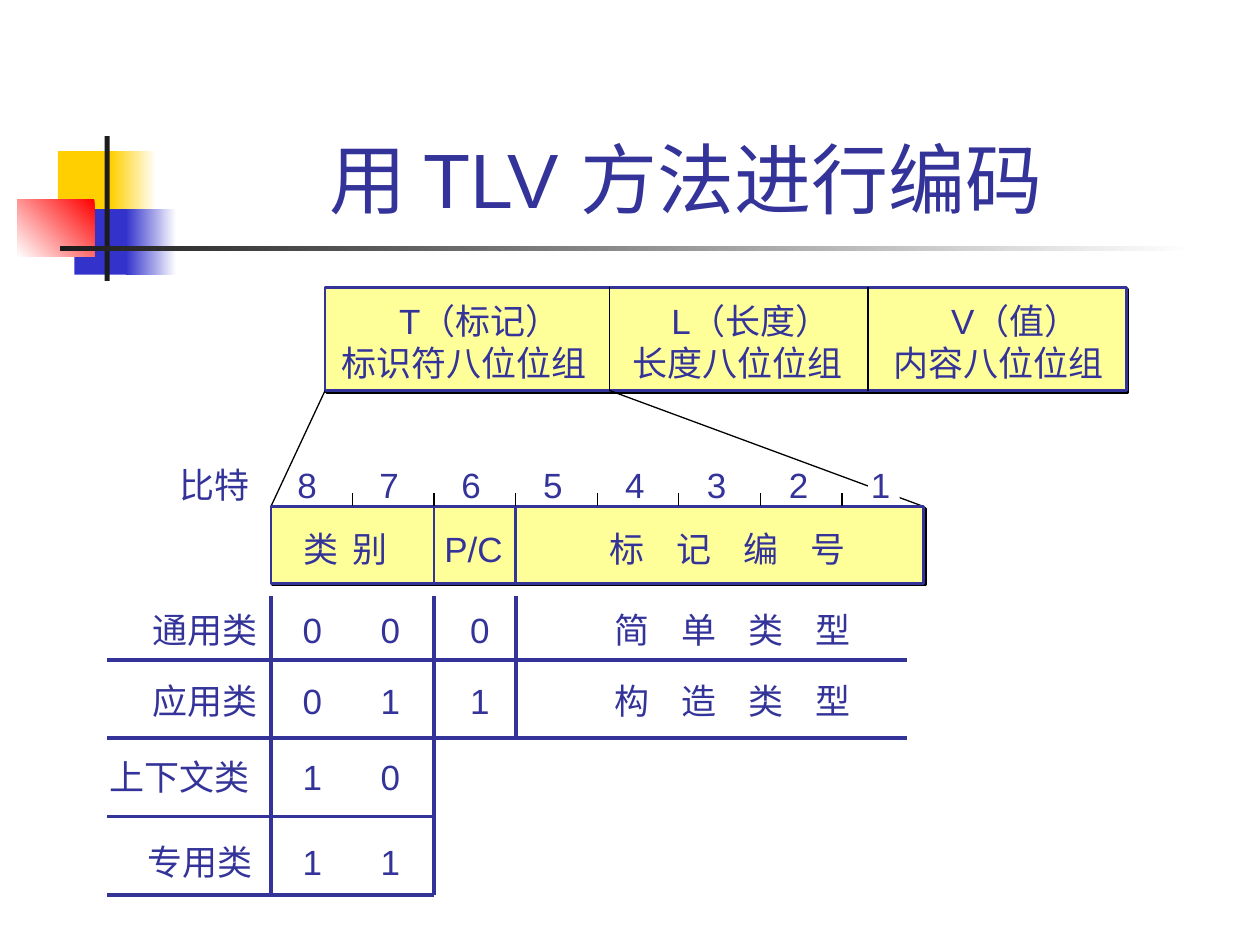
from dataclasses import dataclass

from lxml.etree import SubElement
from pptx import Presentation
from pptx.dml.color import RGBColor
from pptx.enum.shapes import MSO_CONNECTOR as Connector, MSO_SHAPE as Shape
from pptx.enum.text import MSO_ANCHOR as Anchor, MSO_AUTO_SIZE as AutoSize, PP_ALIGN as Align
from pptx.oxml.ns import qn
from pptx.util import Inches, Pt


@dataclass(frozen=True)
class Theme:
    font: str = "Arial"
    title_size: float = 44
    text_size: float = 20
    ink: str = "333399"
    cell: str = "FFFF99"
    black: str = "000000"
    white: str = "FFFFFF"
    yellow: str = "FFCF01"
    blue: str = "3333CC"
    red: str = "FF0000"
    dark: str = "1C1C1C"
    thin: float = 0.75
    medium: float = 1.5
    thick: float = 2.25


THEME = Theme()
INSET = 0.1
TEXT_HEIGHT = 0.44

# The TLV bar and its two inner dividers
BAR_LEFT, BAR_TOP, BAR_RIGHT, BAR_BOTTOM = 2.58, 2.28, 8.94, 3.1
LENGTH_X, VALUE_X = 4.84, 6.89

# The identifier octet: eight equal bit columns
OCTET_LEFT, OCTET_TOP, OCTET_WIDTH, OCTET_HEIGHT = 2.15, 4.02, 5.18, 0.61
BIT_WIDTH = OCTET_WIDTH / 8

# The class table below the octet
TABLE_LEFT, TABLE_TOP, TABLE_RIGHT = 0.85, 4.73, 7.2
FIRST_RULE, ROW_HEIGHT = 5.24, 0.62

BIT_STOPS = [2.44 + 0.65 * bit for bit in range(8)]
VALUE_STOPS = [2.48, 3.1, 3.81]
TYPE_STOPS = [5.02 + 0.53 * index for index in range(4)]


def bit_x(column):
    return OCTET_LEFT + BIT_WIDTH * column


def rule_y(row):
    return FIRST_RULE + ROW_HEIGHT * row


def color(code):
    return RGBColor.from_string(code)


def add_text(paragraph, text, size=THEME.text_size):
    run = paragraph.add_run()
    run.text = text
    run.font.name = THEME.font
    run.font.size = Pt(size)
    run.font.color.rgb = color(THEME.ink)


def add_text_box(slide, left, top, width, height):
    box = slide.shapes.add_textbox(*map(Inches, (left, top, width, height)))
    box.text_frame.word_wrap = True
    box.text_frame.margin_right = 0
    return box.text_frame


def add_row(slide, left, top, right, cells, stops):
    """Write one line whose cells after the first are centred on the stops."""
    frame = add_text_box(slide, left, top, right - left, TEXT_HEIGHT)
    paragraph = frame.paragraphs[0]
    tabs = SubElement(paragraph._p.get_or_add_pPr(), qn("a:tabLst"))
    for stop in stops:
        position = Inches(stop - left - INSET)
        SubElement(tabs, qn("a:tab"), pos=str(position), algn="ctr")
    add_text(paragraph, "\t".join(cells))


def add_field(slide, left, width, heading, detail, indent):
    frame = add_text_box(slide, left, 2.33, width, 0.77)
    add_text(frame.paragraphs[0], heading)
    frame.paragraphs[0]._p.get_or_add_pPr().set("marL", str(Inches(indent)))
    add_text(frame.add_paragraph(), detail)


def add_line(slide, start, end, line_color=THEME.ink, width=THEME.thick):
    points = map(Inches, (*start, *end))
    line = slide.shapes.add_connector(Connector.STRAIGHT, *points)
    line.line.color.rgb = color(line_color)
    line.line.width = Pt(width)
    SubElement(line._element.spPr, qn("a:effectLst"))


def add_block(slide, left, top, width, height, fill, fade=None, angle=180):
    """Add a borderless rectangle; fade makes it a gradient from fill to fade."""
    block = slide.shapes.add_shape(Shape.RECTANGLE, *map(Inches, (left, top, width, height)))
    block.shadow.inherit = False
    block.line.fill.background()
    if fade is None:
        block.fill.solid()
        block.fill.fore_color.rgb = color(fill)
    else:
        block.fill.gradient()
        block.fill.gradient_angle = angle
        for stop, code in zip(block.fill.gradient_stops, (fill, fade)):
            stop.color.rgb = color(code)
    return block


def add_bar(slide, left, top, width, height):
    """Add a yellow bar with an outline and a hard black shadow."""
    bar = add_block(slide, left, top, width, height, THEME.cell)
    bar.line.color.rgb = color(THEME.ink)
    bar.line.width = Pt(THEME.medium)
    effects = bar._element.spPr.find(qn("a:effectLst"))
    shadow = SubElement(effects, qn("a:outerShdw"), dist=str(Pt(1.4)), dir="2700000",
                        algn="ctr", rotWithShape="0")
    SubElement(shadow, qn("a:srgbClr"), val=THEME.black)


def add_decoration(slide):
    add_block(slide, 0.46, 1.2, 0.48, 0.52, THEME.yellow)
    add_block(slide, 0.88, 1.2, 0.36, 0.52, THEME.white, THEME.yellow)
    add_block(slide, 0.59, 1.66, 0.46, 0.52, THEME.blue)
    add_block(slide, 1, 1.66, 0.4, 0.52, THEME.white, THEME.blue)
    add_block(slide, 0.14, 1.58, 0.61, 0.46, THEME.red, THEME.white, angle=225)
    add_block(slide, 0.83, 1.08, 0.04, 1.15, THEME.dark)
    add_block(slide, 0.48, 1.95, 9, 0.04, THEME.white, THEME.dark)


def set_title(slide, text):
    title = slide.shapes.title
    title.left, title.top, title.width, title.height = map(Inches, (1.26, 0.23, 8.52, 1.6))
    frame = title.text_frame
    frame.auto_size = AutoSize.NONE
    frame.vertical_anchor = Anchor.BOTTOM
    frame.margin_right = Inches(0.25)
    frame.paragraphs[0].alignment = Align.CENTER
    add_text(frame.paragraphs[0], text, THEME.title_size)


def add_tlv_bar(slide):
    add_bar(slide, BAR_LEFT, BAR_TOP, BAR_RIGHT - BAR_LEFT, BAR_BOTTOM - BAR_TOP)
    for x in (LENGTH_X, VALUE_X):
        add_line(slide, (x, BAR_TOP), (x, BAR_BOTTOM), THEME.black, THEME.thin)
    add_field(slide, 2.61, 2.15, "T（标记）", "标识符八位位组", 0.46)
    add_field(slide, 4.92, 1.87, "L（长度）", "长度八位位组", 0.31)
    add_field(slide, 6.99, 1.87, "V（值）", "内容八位位组", 0.46)


def add_octet(slide):
    for start, end in ((BAR_LEFT, bit_x(0)), (LENGTH_X, bit_x(8))):
        add_line(slide, (start, BAR_BOTTOM), (end, OCTET_TOP), THEME.black, THEME.thin)
    add_bar(slide, OCTET_LEFT, OCTET_TOP, OCTET_WIDTH, OCTET_HEIGHT)
    for column in range(1, 8):
        x = bit_x(column)
        add_line(slide, (x, OCTET_TOP), (x, OCTET_TOP - 0.11), THEME.black, THEME.thin)
    for column in (2, 3):
        x = bit_x(column)
        add_line(slide, (x, OCTET_TOP), (x, OCTET_TOP + OCTET_HEIGHT), width=THEME.medium)
    add_block(slide, 6.89, 3.71, 0.25, 0.29, THEME.white)
    add_row(slide, 1.33, 3.63, 7.18, ["比特", *"87654321"], BIT_STOPS)
    add_row(slide, 2.31, 4.14, 6.9, ["类", "别", "P/C", *"标记编号"],
            [2.94, 3.76, *(stop - 0.04 for stop in TYPE_STOPS)])


def add_class_table(slide):
    for row, right in enumerate((TABLE_RIGHT, TABLE_RIGHT, bit_x(2), bit_x(2))):
        add_line(slide, (TABLE_LEFT, rule_y(row)), (right, rule_y(row)))
    for column, last_row in ((0, 3), (2, 3), (3, 1)):
        add_line(slide, (bit_x(column), TABLE_TOP), (bit_x(column), rule_y(last_row)))
    for left, top, right, label, bits, kind in (
        (1.11, 4.78, 6.9, "通用类", "000", "简单类型"),
        (1.11, 5.34, 6.9, "应用类", "011", "构造类型"),
        (0.77, 5.95, 3.35, "上下文类", "10", ""),
        (1.07, 6.62, 3.35, "专用类", "11", ""),
    ):
        stops = VALUE_STOPS[:len(bits)] + TYPE_STOPS[:len(kind)]
        add_row(slide, left, top, right, [label, *bits, *kind], stops)


def main():
    presentation = Presentation()
    presentation.slide_width, presentation.slide_height = Inches(10), Inches(7.5)
    slide = presentation.slides.add_slide(presentation.slide_layouts[5])
    add_decoration(slide)
    set_title(slide, "用 TLV 方法进行编码")
    add_tlv_bar(slide)
    add_octet(slide)
    add_class_table(slide)
    presentation.save("out.pptx")


if __name__ == "__main__":
    main()
